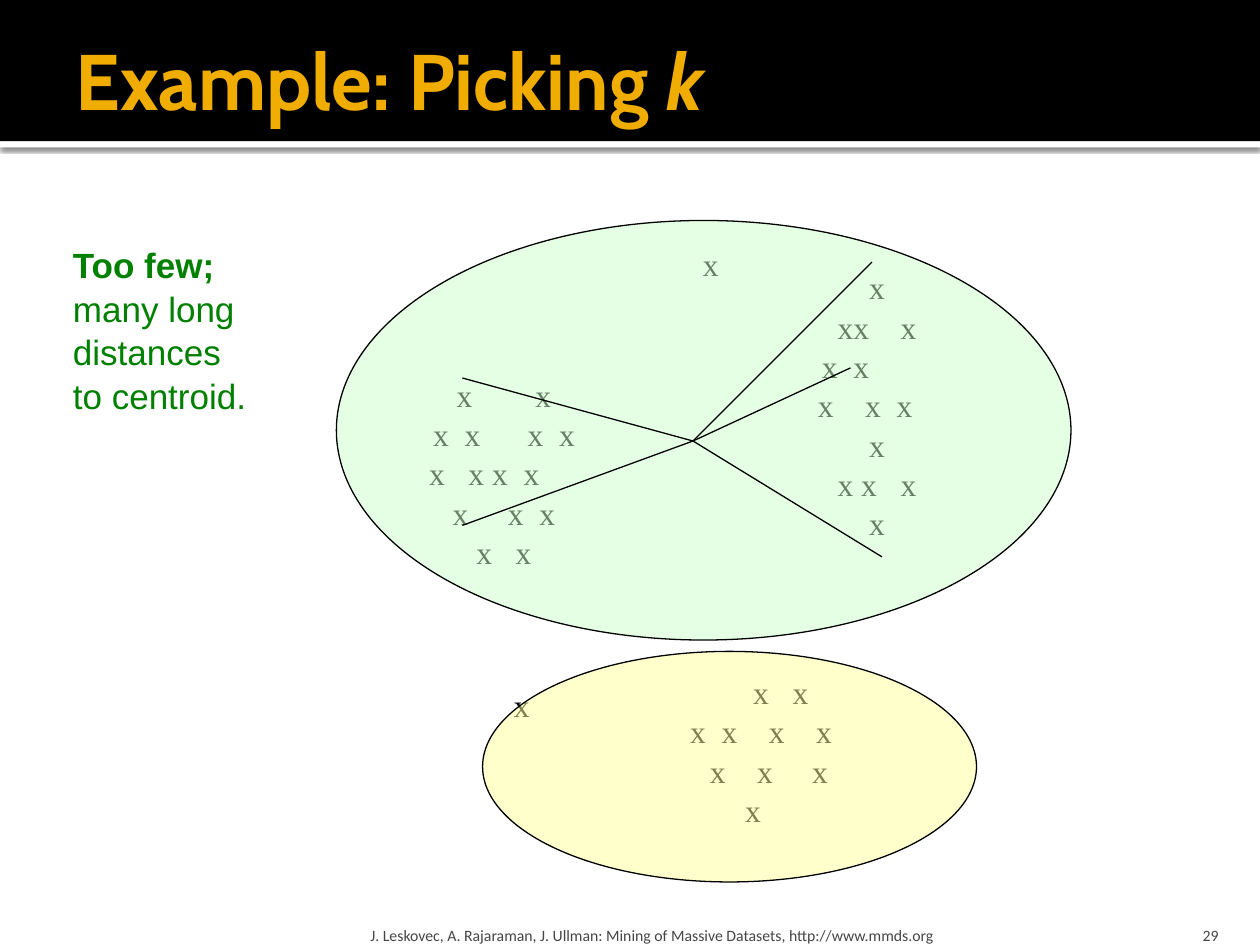
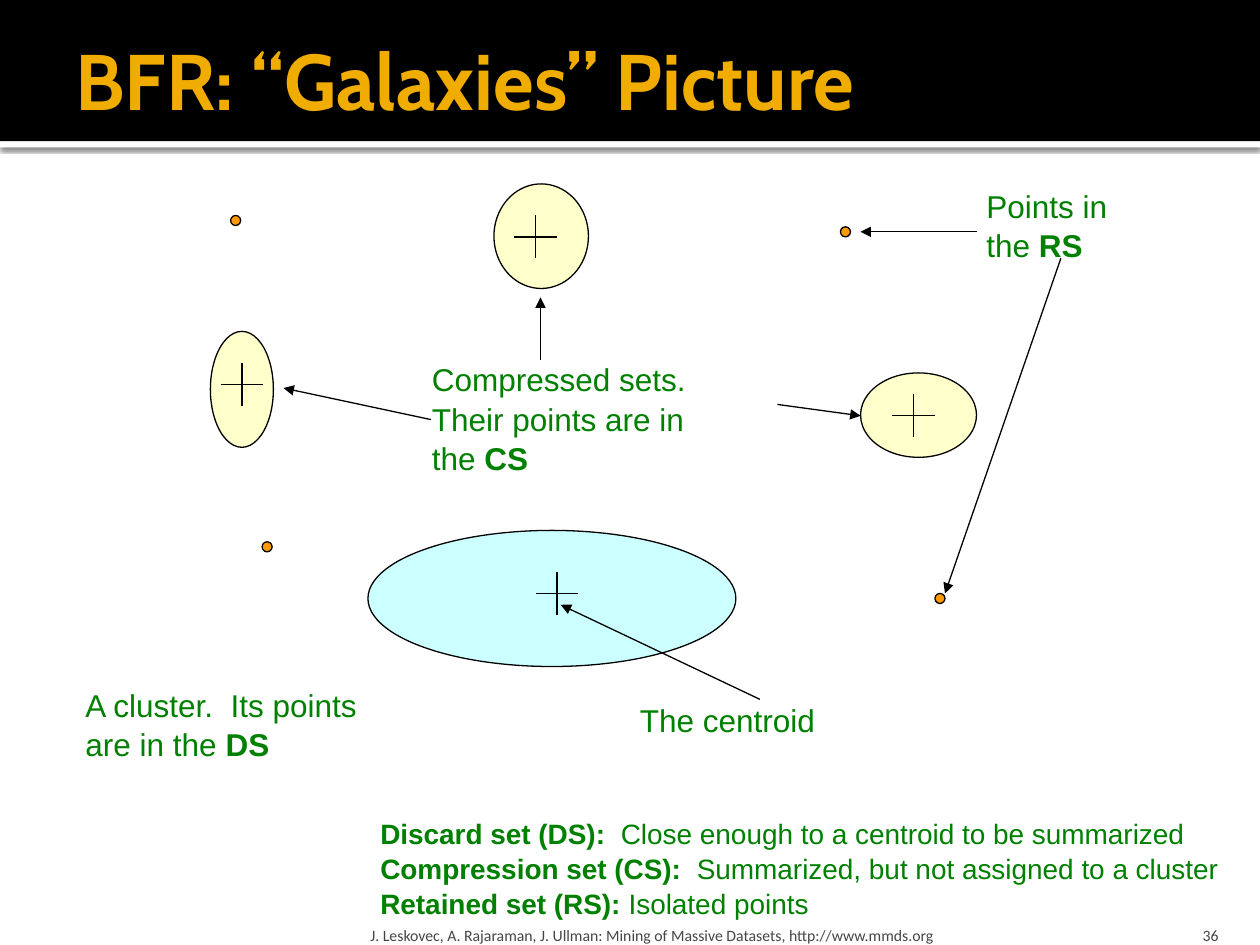
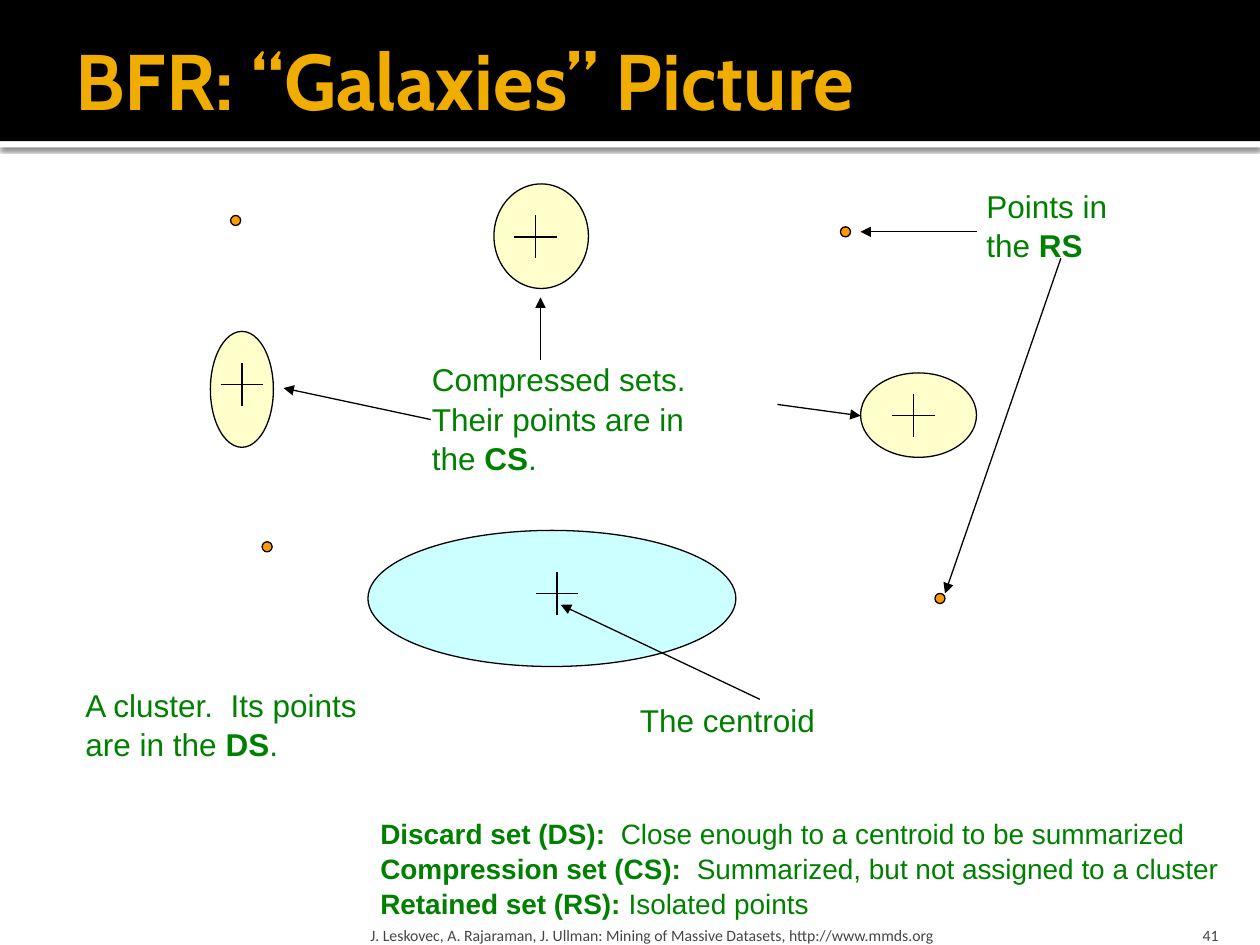
"""Build three slides on picking k and on the BFR clustering sets."""
import pptx
import pptx.dml.color
import pptx.enum.shapes
import pptx.enum.text
import pptx.oxml
import pptx.oxml.ns
import pptx.util
from pptx.util import Inches

RGBColor = pptx.dml.color.RGBColor
SHAPE = pptx.enum.shapes.MSO_SHAPE
ANCHOR = pptx.enum.text.MSO_ANCHOR
ALIGN = pptx.enum.text.PP_ALIGN
FIT = pptx.enum.text.MSO_AUTO_SIZE

BLACK = RGBColor(0x00, 0x00, 0x00)
WHITE = RGBColor(0xFF, 0xFF, 0xFF)
GOLD = RGBColor(0xF0, 0xAD, 0x00)
GREY = RGBColor(0x45, 0x45, 0x45)
GREEN = RGBColor(0x00, 0x80, 0x00)
PALE_GREEN = RGBColor(0xCC, 0xFF, 0xCC)
YELLOW = RGBColor(0xFF, 0xFF, 0x99)
CYAN = RGBColor(0xCC, 0xFF, 0xFF)
ORANGE = RGBColor(0xFF, 0x99, 0x00)

FOOTER = "J. Leskovec, A. Rajaraman, J. Ullman: Mining of Massive Datasets, http://www.mmds.org"
LINE_SPACING = 1.04
SPACE = 0.0625
ARM = 0.17

LEFT_POINTS = [("x x", -6, 4), ("x x x x", -9, -5, 3, 7),
               ("x x x x", -9.5, -4.5, -1.5, 2.5),
               ("x x x", -6.5, 0.5, 4.5), ("x x", -3.5, 1.5)]
RIGHT_POINTS = [("x", -1), ("xx x", -5, 3), ("x x", -7, -3),
                ("x x x", -7.5, -1.5, 2.5), ("x", -1),
                ("x x x", -5, -2, 3), ("x", -1)]
LOWER_POINTS = [("x x", -1, 4), ("x x x x", -9, -5, 1, 7),
                ("x x x", -6.5, -0.5, 6.5), ("x", -2)]


def add_xml(parent, tag, **attributes):
    """Append a DrawingML element and return it."""
    child = pptx.oxml.parse_xml(f"<a:{tag} {pptx.oxml.ns.nsdecls('a')}/>")
    for name, value in attributes.items():
        child.set(name, str(value))
    parent.append(child)
    return child


def add_run(p, text, size, font, color, bold=False, italic=False):
    """Add one formatted run to a paragraph."""
    r = p.add_run()
    r.text = text
    r.font.size, r.font.name = pptx.util.Pt(size), font
    r.font.color.rgb = color
    r.font.bold, r.font.italic = bold, italic


def next_paragraph(tf, index):
    """Return the first paragraph of a frame, or a new one after it."""
    return tf.paragraphs[0] if index == 0 else tf.add_paragraph()


def set_margins(tf, left, top, right, bottom):
    """Set the four insets of a text frame."""
    tf.margin_left, tf.margin_top = Inches(left), Inches(top)
    tf.margin_right, tf.margin_bottom = Inches(right), Inches(bottom)


def add_frame(s, x, y, w, h, anchor, margins):
    """Add a wrapping text box and return its frame."""
    tf = s.shapes.add_textbox(Inches(x), Inches(y), Inches(w), Inches(h)).text_frame
    tf.word_wrap, tf.vertical_anchor = True, anchor
    set_margins(tf, *margins)
    return tf


def add_label(s, x, y, w, h, paragraphs, size=18, font="Arial", color=GREEN, wrap=False):
    """Add a text box whose paragraphs are lists of (text, bold) runs."""
    tf = add_frame(s, x, y, w, h, ANCHOR.TOP, (0.1, 0.05, 0.1, 0.05))
    tf.word_wrap, tf.auto_size = wrap, FIT.SHAPE_TO_FIT_TEXT
    for i, runs in enumerate(paragraphs):
        p = next_paragraph(tf, i)
        p.line_spacing = LINE_SPACING
        for text, bold in runs:
            add_run(p, text, size, font, color, bold)


def add_filled(s, kind, x, y, w, h, fill, outlined=True, alpha=None):
    """Add a preset shape with a solid fill and an optional thin black outline."""
    sp = s.shapes.add_shape(kind, Inches(x), Inches(y), Inches(w), Inches(h))
    sp.shadow.inherit = False
    sp.fill.solid()
    sp.fill.fore_color.rgb = fill
    if alpha:
        color = sp.fill._xPr.find(".//" + pptx.oxml.ns.qn("a:srgbClr"))
        add_xml(color, "alpha", val=alpha * 1000)
    if outlined:
        sp.line.color.rgb, sp.line.width = BLACK, pptx.util.Pt(0.75)
    else:
        sp.line.fill.background()
    return sp


def add_line(s, x1, y1, x2, y2, arrow=False):
    """Add a thin black line, with an arrowhead at its end on request."""
    c = s.shapes.add_connector(pptx.enum.shapes.MSO_CONNECTOR.STRAIGHT,
                               Inches(x1), Inches(y1), Inches(x2), Inches(y2))
    c.line.color.rgb, c.line.width = BLACK, pptx.util.Pt(0.75)
    if arrow:
        add_xml(c.line._get_or_add_ln(), "tailEnd", type="triangle")
    add_xml(c._element.spPr, "effectLst")


def add_cross(s, x, y):
    """Mark a centroid with a cross centred on a point."""
    add_line(s, x, y - ARM, x, y + ARM)
    add_line(s, x - ARM, y, x + ARM, y)


def add_points(s, x, y, w, h, rows):
    """Add rows of points at offsets, in spaces, from the centre of the box."""
    sp = s.shapes.add_shape(SHAPE.OVAL, Inches(x), Inches(y), Inches(w), Inches(h))
    sp.shadow.inherit = False
    sp.fill.background()
    sp.line.fill.background()
    tf = sp.text_frame
    tf.word_wrap, tf.vertical_anchor = True, ANCHOR.MIDDLE
    set_margins(tf, 0, 0, 0, 0)
    middle = w / 2 ** 0.5 / 2
    for i, (marks, *offsets) in enumerate(rows):
        p = next_paragraph(tf, i)
        p.alignment, p.line_spacing = ALIGN.LEFT, LINE_SPACING
        tabs = add_xml(p._p.get_or_add_pPr(), "tabLst")
        for offset in offsets:
            add_xml(tabs, "tab", pos=int(Inches(middle + offset * SPACE)), algn="l")
        add_run(p, "\t" + "\t".join(marks.split()), 18, "Times New Roman", BLACK)


def new_slide(prs, title, number):
    """Add a slide with band, title, footer and page number."""
    s = prs.slides.add_slide(prs.slide_layouts[6])
    strip = add_filled(s, SHAPE.RECTANGLE, 0, 1.12, 10, 0.05, WHITE, outlined=False)
    effects = strip._element.spPr.find(pptx.oxml.ns.qn("a:effectLst"))
    shadow = add_xml(effects, "outerShdw", blurRad=31750, dist=10160, dir=5400000,
                     algn="tl", rotWithShape=0)
    add_xml(add_xml(shadow, "srgbClr", val=BLACK), "alpha", val=60000)
    add_filled(s, SHAPE.RECTANGLE, 0, 0, 10, 1.12, BLACK, outlined=False)
    tf = add_frame(s, 0.5, 0.17, 9, 0.92, ANCHOR.MIDDLE, (0.1, 0.05, 0.05, 0.05))
    for text, italic in title:
        add_run(tf.paragraphs[0], text, 45, "Cabin", GOLD, True, italic)
    for x, w, inset, text, align in ((2.89, 6.02, 0.05, FOOTER, ALIGN.LEFT),
                                     (8.97, 0.8, 0.1, str(number), ALIGN.RIGHT)):
        tf = add_frame(s, x, 7.2, w, 0.3, ANCHOR.BOTTOM, (inset, 0.05, inset, 0))
        tf.paragraphs[0].alignment = align
        add_run(tf.paragraphs[0], text, 9, "Calibri", GREY)
    return s


def draw_too_few(s, x, y):
    """Draw two clusters over the points, with long distances to a centroid."""
    add_points(s, x + 0.33, y + 0.75, 2, 2.5, LEFT_POINTS)
    add_points(s, x + 3.33, y - 0.08, 1.92, 3.08, RIGHT_POINTS)
    add_points(s, x + 2.33, y + 3.33, 2.08, 1.75, LOWER_POINTS)
    for dx, dy in ((2.81, 0.13), (1.31, 3.63)):
        add_label(s, x + dx, y + dy, 0.37, 0.5, [[("x", False)]],
                  font="Times New Roman", color=BLACK)
    add_filled(s, SHAPE.OVAL, x, y, 5.83, 3.33, PALE_GREEN, alpha=50)
    add_filled(s, SHAPE.OVAL, x + 1.16, y + 3.42, 3.92, 1.83, YELLOW, alpha=50)
    for dx, dy in ((1, 1.25), (1, 2.42), (4.33, 2.67), (4.08, 1.17), (4.25, 0.33)):
        add_line(s, x + 2.83, y + 1.75, x + dx, y + dy)


def draw_discard_set(s, x, y, stop):
    """Draw the cluster, its centroid and their labels."""
    add_filled(s, SHAPE.OVAL, x + 2.34, y, 2.92, 1.08, CYAN)
    add_label(s, x, y + 1.17, 2.38, 0.71,
              [[("A cluster.  Its points", False)],
               [("are in the ", False), ("DS", True)] + stop])
    add_cross(s, x + 3.84, y + 0.5)
    add_label(s, x + 4.4, y + 1.29, 1.6, 0.4, [[("The centroid", False)]])
    add_line(s, x + 5.45, y + 1.34, x + 3.87, y + 0.59, arrow=True)


def draw_compressed_sets(s, x, y, stop):
    """Draw the three compressed sets and the label pointing at them."""
    for dx, dy, w, h in ((0, 1.17, 0.5, 0.92), (5.16, 1.5, 0.92, 0.67),
                         (2.25, 0, 0.75, 0.83)):
        add_filled(s, SHAPE.OVAL, x + dx, y + dy, w, h, YELLOW, alpha=50)
    for dx, dy in ((0.25, 1.59), (5.58, 1.84), (2.58, 0.42)):
        add_cross(s, x + dx, y + dy)
    add_label(s, x + 1.66, y + 1.34, 2.24, 1.01,
              [[("Compressed sets.", False)], [("Their points are in", False)],
               [("the ", False), ("CS", True)] + stop])
    for x1, y1, x2, y2 in ((1.75, 1.87, 0.58, 1.62), (2.62, 1.4, 2.62, 0.9),
                           (4.5, 1.75, 5.16, 1.84)):
        add_line(s, x + x1, y + y1, x + x2, y + y2, arrow=True)


def draw_retained_set(s, x, y):
    """Draw the isolated points and the label pointing at two of them."""
    for dx, dy in ((0, 0.29), (0.25, 2.88), (5.59, 3.29), (4.84, 0.38)):
        add_filled(s, SHAPE.OVAL, x + dx, y + dy, 0.08, 0.08, ORANGE)
    add_label(s, x + 5.9, y, 1.17, 0.71,
              [[("Points in", False)], [("the ", False), ("RS", True)]])
    for x1, y1, x2, y2 in ((5.92, 0.42, 5, 0.42), (6.59, 0.63, 5.67, 3.29)):
        add_line(s, x + x1, y + y1, x + x2, y + y2, arrow=True)


def draw_legend(s, x, y):
    """Define the three sets."""
    add_label(s, x, y, 7, 0.91,
              [[("Discard set (DS):", True),
                ("  Close enough to a centroid to be summarized", False)],
               [("Compression set (CS):", True),
                ("  Summarized, but not assigned to a cluster", False)],
               [("Retained set (RS):", True), (" Isolated points", False)]],
              size=16, wrap=True)


def picking_slide(prs, number):
    """Build the slide on choosing too few clusters."""
    s = new_slide(prs, [("Example: Picking ", False), ("k", True)], number)
    draw_too_few(s, 2.67, 1.75)
    add_label(s, 0.48, 1.87, 1.59, 1.45,
              [[("Too few;", True)], [("many long", False)],
               [("distances", False)], [("to centroid.", False)]], size=20)


def galaxies_slide(prs, number, stop):
    """Build a galaxies slide whose set labels end with the given runs."""
    s = new_slide(prs, [("BFR: “Galaxies” Picture", False)], number)
    draw_discard_set(s, 0.58, 4.21, stop)
    draw_compressed_sets(s, 1.67, 1.46, stop)
    draw_retained_set(s, 1.83, 1.42)
    draw_legend(s, 2.92, 6.42)


def main():
    """Build and save the presentation."""
    prs = pptx.Presentation()
    prs.slide_width, prs.slide_height = Inches(10), Inches(7.5)
    picking_slide(prs, 29)
    galaxies_slide(prs, 36, [])
    galaxies_slide(prs, 41, [(".", False)])
    prs.save("out.pptx")


if __name__ == "__main__":
    main()
